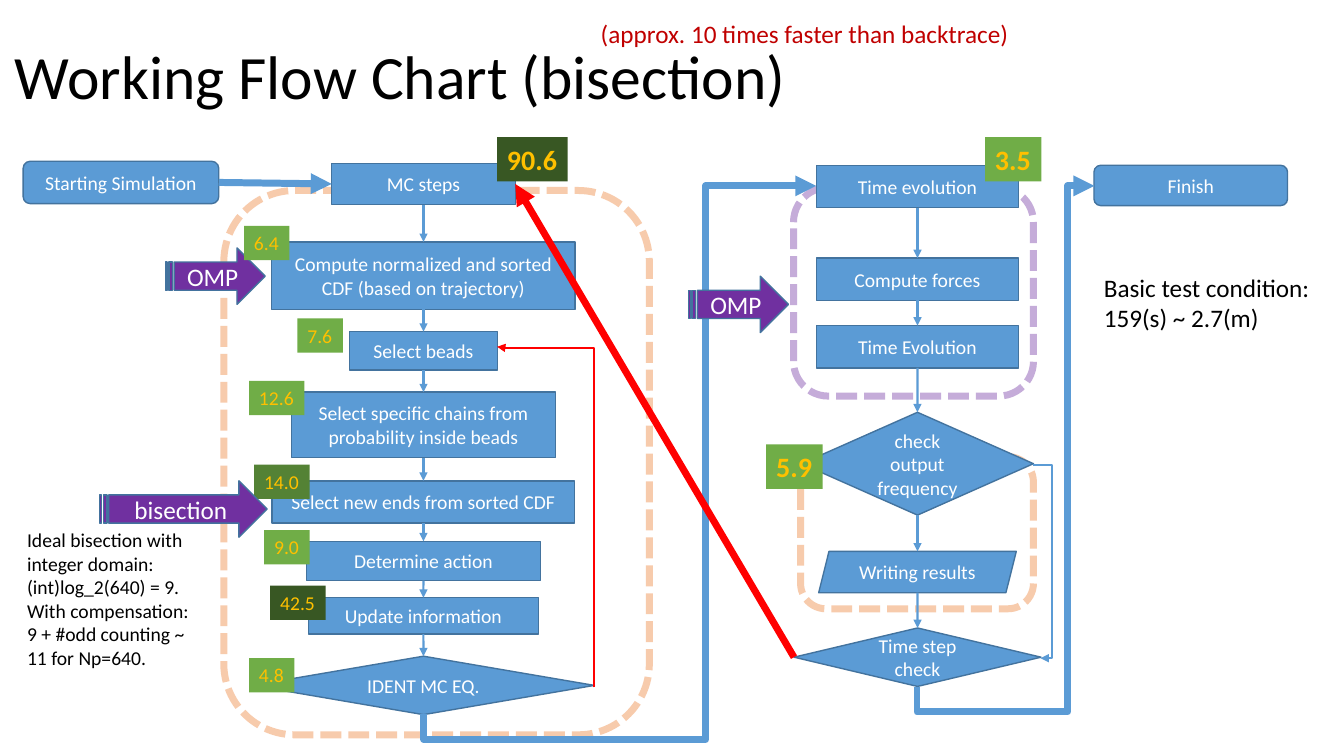
from pptx import Presentation
from pptx.dml.color import RGBColor
from pptx.enum.dml import MSO_LINE
from pptx.enum.shapes import MSO_CONNECTOR as CONN, MSO_SHAPE as SHAPE
from pptx.enum.text import MSO_ANCHOR as ANCHOR, PP_ALIGN as ALIGN
from pptx.oxml.ns import qn
from pptx.util import Inches, Pt
from lxml import etree

BLUE, EDGE, PURPLE, ORANGE, RED = "5B9BD5", "43739E", "7030A0", "ED7D31", "FF0000"
GREEN, MID_GREEN, DARK_GREEN, GOLD = "70AD47", "548235", "385723", "FFC000"
TOP, LEFT, BOTTOM, RIGHT = range(4)


def rgb(value):
    return RGBColor.from_string(value)


def write(sp, lines, size, color, bold=False, align=ALIGN.LEFT, wrap=True):
    tf = sp.text_frame
    tf.word_wrap = wrap
    tf.text = "\n".join(lines)
    for p in tf.paragraphs:
        p.alignment = align
        p.font.name, p.font.size, p.font.bold = "Calibri", Pt(size), bold
        p.font.color.rgb = rgb(color)
    return tf


def add_text(s, x, y, w, h, lines, size, color, **style):
    sp = s.shapes.add_textbox(Inches(x), Inches(y), Inches(w), Inches(h))
    write(sp, lines, size, color, **style)
    return sp


def add_node(s, kind, x, y, w, h, text, size=14, fill=BLUE):
    sp = s.shapes.add_shape(kind, Inches(x), Inches(y), Inches(w), Inches(h))
    sp.shadow.inherit = False
    sp.fill.solid()
    sp.fill.fore_color.rgb = rgb(fill)
    sp.line.color.rgb = rgb(EDGE)
    sp.line.width = Pt(1)
    tf = write(sp, [text], size, "FFFFFF", align=ALIGN.CENTER)
    tf.vertical_anchor = ANCHOR.MIDDLE
    return sp


def add_frame(s, x, y, w, h, color):
    """Dashed, translucent outline around a loop."""
    sp = s.shapes.add_shape(SHAPE.ROUNDED_RECTANGLE, Inches(x), Inches(y), Inches(w), Inches(h))
    sp.shadow.inherit = False
    sp.fill.background()
    sp.line.color.rgb = rgb(color)
    sp.line.width = Pt(5)
    sp.line.dash_style = MSO_LINE.SQUARE_DOT
    clr = sp.line._get_or_add_ln().find(".//" + qn("a:srgbClr"))
    etree.SubElement(clr, qn("a:alpha"), val="40000")


def add_badge(s, x, y, text, fill=GREEN, big=False):
    """Share of run time; the width follows the number of digits."""
    w = 0.14 * len(text) + 0.14 if big else 0.1 * len(text) + 0.15
    sp = add_text(s, x, y, w, 0.44 if big else 0.34, [text], 20 if big else 14,
                  GOLD, bold=big, wrap=False)
    sp.fill.solid()
    sp.fill.fore_color.rgb = rgb(fill)


def style_arrow(c, color, width):
    c.line.color.rgb = rgb(color)
    c.line.width = Pt(width)
    etree.SubElement(c.line._get_or_add_ln(), qn("a:tailEnd"), type="triangle")
    etree.SubElement(c._element.spPr, qn("a:effectLst"))


def add_arrow(s, start, start_side, end, end_side, color=BLUE, width=1.5):
    """Straight arrow between the middles of two sides."""
    def side_point(sp, side):
        dx, dy = ((0.5, 0), (0, 0.5), (0.5, 1), (1, 0.5))[side]
        return int(sp.left + dx * sp.width), int(sp.top + dy * sp.height)

    c = s.shapes.add_connector(CONN.STRAIGHT, *side_point(start, start_side),
                               *side_point(end, end_side))
    for sp, side, join in ((start, start_side, c.begin_connect), (end, end_side, c.end_connect)):
        if sp.auto_shape_type != SHAPE.PARALLELOGRAM:
            join(sp, side)
    style_arrow(c, color, width)


def add_elbow(s, x, y, w, h, adjust, turn=0, flip="", color=BLUE, width=1.5):
    """Bent arrow; the box is given before its turn, adjust in 1/1000."""
    c = s.shapes.add_connector(CONN.ELBOW, Inches(x), Inches(y), Inches(x + w), Inches(y + h))
    xfrm = c._element.spPr.find(qn("a:xfrm"))
    xfrm.set("rot", str(turn * 60000))
    for axis in flip:
        xfrm.set("flip" + axis, "1")
    geom = c._element.spPr.find(qn("a:prstGeom"))
    geom.set("prst", f"bentConnector{len(adjust) + 2}")
    av = geom.find(qn("a:avLst"))
    for i, value in enumerate(adjust, 1):
        etree.SubElement(av, qn("a:gd"), name=f"adj{i}", fmla=f"val {value * 100}")
    style_arrow(c, color, width)


def add_chain(s, center, y, steps):
    """Centred column of steps, each joined to the next by an arrow."""
    nodes = [add_node(s, kind, center - w / 2, y + top, w, h, text)
             for kind, top, w, h, text in steps]
    for upper, lower in zip(nodes, nodes[1:]):
        add_arrow(s, upper, BOTTOM, lower, TOP)
    return nodes


def header(s, x, y):
    sp = add_text(s, x, y, 11.5, 1.45, ["Working Flow Chart (bisection)"], 44, "000000")
    sp.text_frame.vertical_anchor = ANCHOR.MIDDLE
    sp.text_frame.paragraphs[0].line_spacing = 0.9
    add_text(s, x + 5.81, y + 0.07, 4.29, 0.4, ["(approx. 10 times faster than backtrace)"],
             18, "C00000", wrap=False)


def mc_loop(s, x, y):
    add_frame(s, x + 0.02, y + 0.49, 4.22, 5.4, ORANGE)
    nodes = add_chain(s, x + 2, y, [
        (SHAPE.RECTANGLE, 0.22, 1.82, 0.41, "MC steps"),
        (SHAPE.RECTANGLE, 1.0, 3.01, 0.67, "Compute normalized and sorted CDF (based on trajectory)"),
        (SHAPE.RECTANGLE, 1.89, 1.47, 0.38, "Select beads"),
        (SHAPE.RECTANGLE, 2.49, 2.62, 0.65, "Select specific chains from probability inside beads"),
        (SHAPE.RECTANGLE, 3.37, 3.0, 0.42, "Select new ends from sorted CDF"),
        (SHAPE.RECTANGLE, 3.97, 2.32, 0.39, "Determine action"),
        (SHAPE.RECTANGLE, 4.53, 2.28, 0.36, "Update information"),
        (SHAPE.DIAMOND, 5.11, 3.39, 0.58, "IDENT MC EQ."),
    ])
    add_elbow(s, x + 1.52, y + 3.25, 3.38, 0.96, [997], 270, "V", RED)
    return nodes


def time_loop(s, x, y):
    add_frame(s, x + 0.34, y + 3.13, 2.31, 1.51, ORANGE)
    add_frame(s, x + 0.27, y + 0.46, 2.38, 2.07, PURPLE)
    nodes = add_chain(s, x + 1.5, y, [
        (SHAPE.RECTANGLE, 0.24, 2, 0.42, "Time evolution"),
        (SHAPE.RECTANGLE, 1.16, 2, 0.42, "Compute forces"),
        (SHAPE.RECTANGLE, 1.83, 2, 0.42, "Time Evolution"),
        (SHAPE.DIAMOND, 2.69, 2.3, 1.02, "check output frequency"),
        (SHAPE.PARALLELOGRAM, 4.07, 1.96, 0.41, "Writing results"),
        (SHAPE.DIAMOND, 4.83, 2.45, 0.58, "Time step check"),
    ])
    add_elbow(s, x + 2.65, y + 3.21, 0.07, 1.92, [2583])
    return nodes


def mc_labels(s, x, y):
    add_node(s, SHAPE.STRIPED_RIGHT_ARROW, x - 0.56, y + 1.06, 0.99, 0.56, "OMP", 18, PURPLE)
    add_badge(s, x + 2.73, y - 0.04, "90.6", DARK_GREEN, big=True)
    for dx, dy, text, fill in ((0.22, 0.84, "6.4", GREEN), (0.75, 1.76, "7.6", GREEN),
                               (0.27, 2.38, "12.6", GREEN), (0.32, 3.21, "14.0", MID_GREEN),
                               (0.42, 3.86, "9.0", GREEN), (0.48, 4.41, "42.5", DARK_GREEN),
                               (0.27, 5.13, "4.8", GREEN)):
        add_badge(s, x + dx, y + dy, text, fill)
    add_node(s, SHAPE.STRIPED_RIGHT_ARROW, x - 1.21, y + 3.37, 1.66, 0.56, "bisection", 18, PURPLE)
    add_text(s, x - 2.03, y + 3.79, 1.9, 1.51,
             ["Ideal bisection with integer domain: (int)log_2(640) = 9.",
              "With compensation:", "9 + #odd counting ~ 11 for Np=640."], 14, "000000")


def time_labels(s, x, y):
    add_node(s, SHAPE.STRIPED_RIGHT_ARROW, x - 0.77, y + 1.34, 0.99, 0.56, "OMP", 18, PURPLE)
    add_badge(s, x + 2.17, y - 0.04, "3.5", big=True)
    add_badge(s, x, y + 3.01, "5.9", big=True)
    add_text(s, x + 3.25, y + 1.25, 2.37, 0.71,
             ["Basic test condition:", "159(s) ~ 2.7(m)"], 18, "000000")


def main():
    prs = Presentation()
    prs.slide_width, prs.slide_height = Inches(13.33), Inches(7.5)
    s = prs.slides.add_slide(prs.slide_layouts[6])
    mc_at, time_at = (2.2, 1.4), (7.6, 1.4)
    header(s, 0.05, 0.06)
    start = add_node(s, SHAPE.ROUNDED_RECTANGLE, 0.23, 1.6, 1.94, 0.42, "Starting Simulation")
    add_node(s, SHAPE.ROUNDED_RECTANGLE, 10.85, 1.64, 1.92, 0.4, "Finish")
    mc_nodes = mc_loop(s, *mc_at)
    time_nodes = time_loop(s, *time_at)
    add_arrow(s, start, RIGHT, mc_nodes[0], LEFT, width=5)
    add_elbow(s, 3.53, 2.52, 5.24, 3.89, [-48, 718], 90, "HV", width=5)
    add_elbow(s, 7.49, 3.45, 4.97, 1.76, [-50, 849], 90, "HV", width=5)
    add_arrow(s, time_nodes[-1], LEFT, mc_nodes[0], RIGHT, RED, 5)
    mc_labels(s, *mc_at)
    time_labels(s, *time_at)
    prs.save("out.pptx")


if __name__ == "__main__":
    main()
